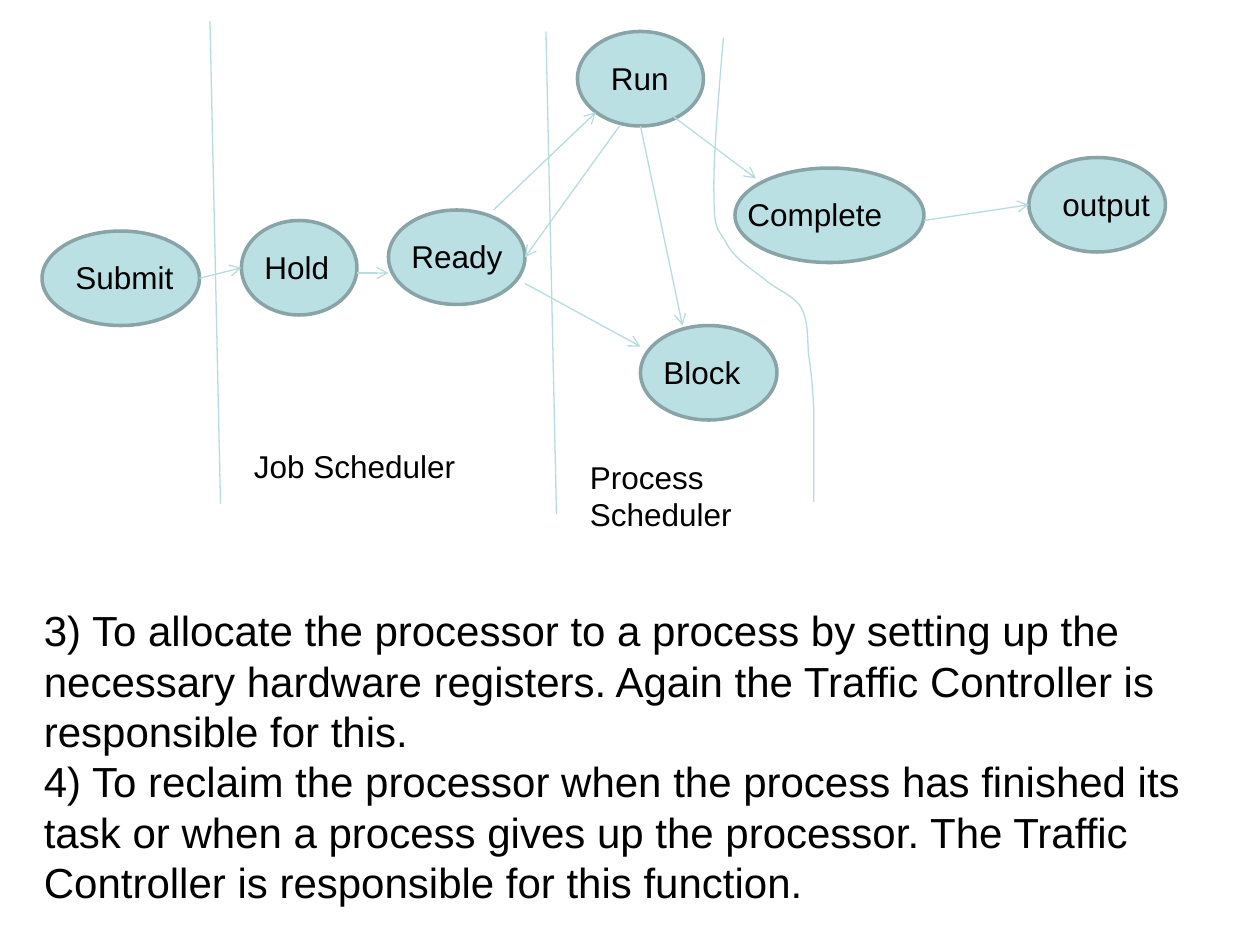
from lxml.etree import SubElement
from pptx import Presentation
from pptx.dml.color import RGBColor
from pptx.enum.shapes import MSO_CONNECTOR, MSO_SHAPE
from pptx.enum.text import MSO_AUTO_SIZE
from pptx.oxml.ns import qn
from pptx.util import Inches, Pt

COLS, ROWS, UNIT = 120, 90, Inches(1) // 12
FILL, EDGE, LINK, INK = "BBE0E3", "89A4A7", "B6DCDF", "000000"
NODE_H, LABEL_H = 9, 4.8

# name, column, row, width, label indent, label width
NODES = [
    ("Submit", 4, 22, 15, 2, 12),
    ("Hold", 23, 21, 11, 1, 10),
    ("Ready", 37, 20, 13, 1, 12),
    ("Run", 55, 3, 12, 2, 8),
    ("Block", 61, 31, 13, 1, 11),
    ("Complete", 70, 16, 18, 0, 17),
    ("output", 98, 15, 13, 2, 11),
]
ARROWS = [
    (19, 26.5, 23, 25.5),
    (64, 11, 72, 17),
    (47, 20, 56.75, 10.7),
    (34, 26, 37, 26),
    (50, 27, 61, 33),
    (59, 12, 50, 24.5),
    (88, 21, 98, 19.5),
    (61, 12, 65, 31),
]
DIVIDERS = [(52, 3, 53, 49), (20, 2, 21, 48)]
CURVE_START, CURVE_END = (68.9, 3.6), (77.5, 47.8)
CURVE = [
    ((68.4, 9.5), (67.9, 15.4), (68, 18.6)),
    ((68, 21.8), (68.3, 21.7), (69.1, 23)),
    ((69.8, 24.5), (71.5, 25.6), (72.7, 26.5)),
    ((73.9, 27.6), (75.6, 28.1), (76.3, 29.3)),
    ((77, 30.5), (76.9, 32.3), (77, 33.8)),
    ((77.3, 35.4), (77.4, 37.3), (77.5, 38.8)),
    ((77.5, 40.2), (77.5, 42.6), (77.5, 42.6)),
]
CAPTIONS = [("Job Scheduler", 23, 42, 24, 4.8), ("Process Scheduler", 55, 43, 21, 8.4)]
DUTIES = [
    "3) To allocate the processor to a process by setting up the necessary hardware registers. "
    "Again the Traffic Controller is responsible for this.",
    "4) To reclaim the processor when the process has finished its task or when a process gives up "
    "the processor. The Traffic Controller is responsible for this function.",
]


def rgb(value):
    """Return the colour for a hex string."""
    return RGBColor.from_string(value)


def units(*values):
    """Convert grid units to whole EMU."""
    return [round(v * UNIT) for v in values]


def add_text(s, box, *paragraphs, size=18, font="Arial", color=INK):
    """Add a wrapping text box with one format throughout."""
    sp = s.shapes.add_textbox(*units(*box))
    tf = sp.text_frame
    tf.word_wrap = True
    tf.auto_size = MSO_AUTO_SIZE.SHAPE_TO_FIT_TEXT
    for i, text in enumerate(paragraphs):
        p = tf.add_paragraph() if i else tf.paragraphs[0]
        r = p.add_run()
        r.text = text
        r.font.size, r.font.name = Pt(size), font
        r.font.color.rgb = rgb(color)


def style_line(sp, color, width):
    """Set the line colour and width of a shape."""
    sp.line.color.rgb = rgb(color)
    sp.line.width = Pt(width)


def add_node(s, box):
    """Add the ellipse of one process state."""
    sp = s.shapes.add_shape(MSO_SHAPE.OVAL, *units(*box))
    sp.shadow.inherit = False
    sp.fill.solid()
    sp.fill.fore_color.rgb = rgb(FILL)
    style_line(sp, EDGE, 2)


def add_link(s, ends, arrow=False):
    """Add a thin straight line, with an open arrowhead if asked."""
    sp = s.shapes.add_connector(MSO_CONNECTOR.STRAIGHT, *units(*ends))
    style_line(sp, LINK, 0.75)
    props = sp._element.spPr
    if arrow:
        SubElement(props.find(qn("a:ln")), qn("a:tailEnd"), type="arrow")
    SubElement(props, qn("a:effectLst"))


def bezier(a, b, c, d, steps=12):
    """Return the points of a cubic curve after its start."""
    ts = [i / steps for i in range(1, steps + 1)]
    return [
        tuple((1 - t) ** 3 * p + 3 * t * (1 - t) ** 2 * q + 3 * t * t * (1 - t) * u + t**3 * v
              for p, q, u, v in zip(a, b, c, d))
        for t in ts
    ]


def add_curve(s, left, top):
    """Add the curved boundary of the process scheduler."""
    points = [CURVE_START]
    for segment in CURVE:
        points += bezier(points[-1], *segment)
    points.append(CURVE_END)
    start, *rest = [units(left + x, top + y) for x, y in points]
    builder = s.shapes.build_freeform(*start)
    builder.add_line_segments(rest, close=False)
    sp = builder.convert_to_shape()
    sp.shadow.inherit = False
    sp.fill.background()
    style_line(sp, LINK, 0.75)


def add_diagram(s, left, top):
    """Draw the process states, their transitions and the scheduler zones."""
    for _, x, y, w, _, _ in NODES:
        add_node(s, (left + x, top + y, w, NODE_H))
    for name, x, y, _, indent, w in NODES:
        add_text(s, (left + x + indent, top + y + 2, w, LABEL_H), name)
    for links, arrow in ((ARROWS, True), (DIVIDERS, False)):
        for x1, y1, x2, y2 in links:
            add_link(s, (left + x1, top + y1, left + x2, top + y2), arrow)
    add_curve(s, left, top)
    for text, x, y, w, h in CAPTIONS:
        add_text(s, (left + x, top + y, w, h), text)


def add_duties(s, box):
    """Write the numbered duties in the given box."""
    add_text(s, box, *DUTIES, size=24)


def main():
    """Build and save the slide."""
    prs = Presentation()
    prs.slide_width, prs.slide_height = units(COLS, ROWS)
    s = prs.slides.add_slide(prs.slide_layouts[6])
    add_diagram(s, 0, 0)
    add_duties(s, (3, 57, COLS - 6, 30))
    prs.save("out.pptx")


if __name__ == "__main__":
    main()
